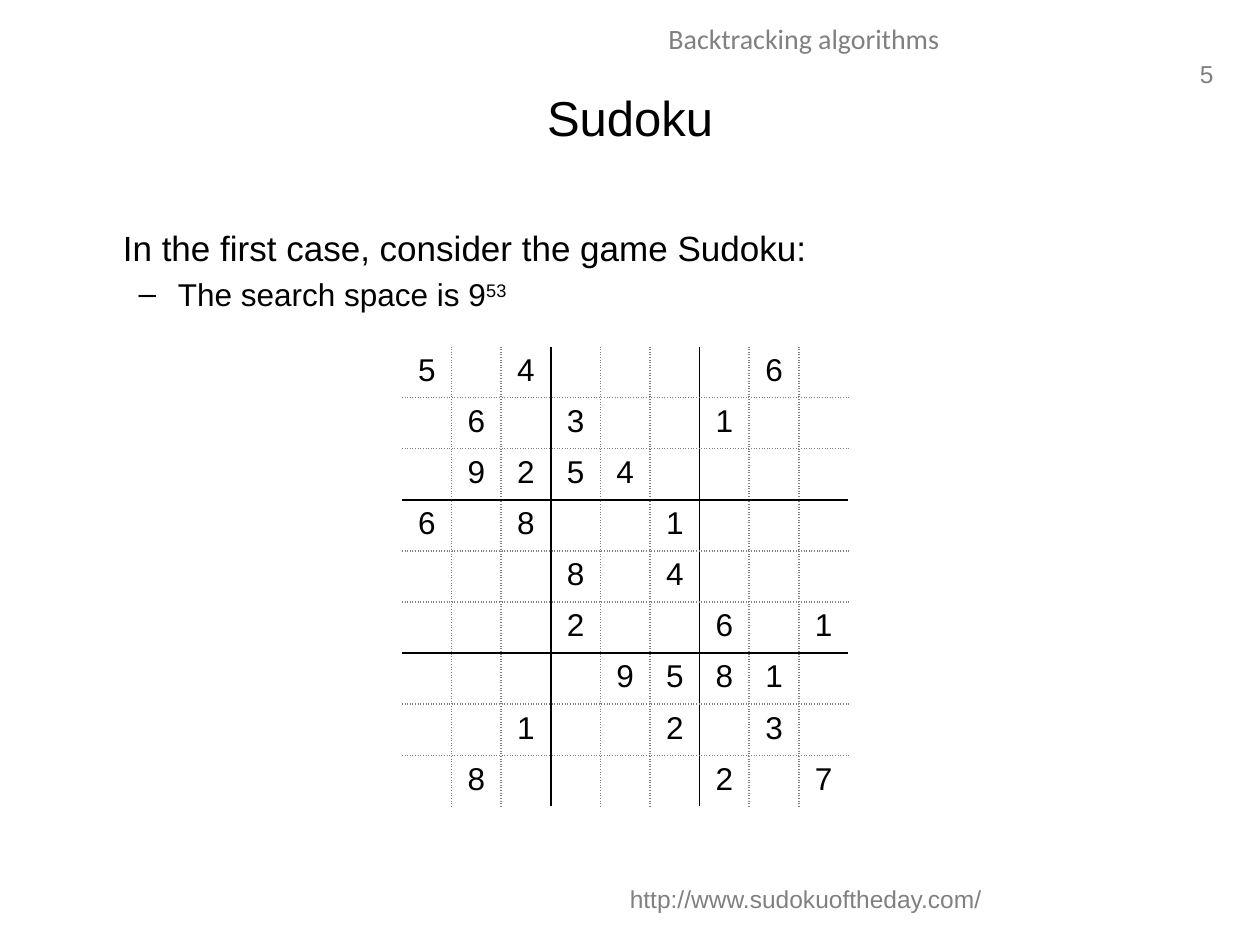
from lxml import etree
from pptx import Presentation
from pptx.dml.color import RGBColor
from pptx.enum.text import MSO_ANCHOR, PP_ALIGN
from pptx.oxml.ns import qn
from pptx.util import Cm, Inches, Pt

LEFT, CENTER, RIGHT = PP_ALIGN.LEFT, PP_ALIGN.CENTER, PP_ALIGN.RIGHT
MIDDLE = MSO_ANCHOR.MIDDLE

COLORS = {"text": "000000", "muted": "808080"}
TITLE = "Sudoku"
INTRO = "In the first case, consider the game Sudoku:"
SEARCH_SPACE = ("The search space is 9", "53")
# text, box (left, top, width, height), alignment, size, font, wrap
LABELS = [
    ("5", (9.29, 0.42, 0.44, 0.33), RIGHT, 14, "Arial", False),
    ("Backtracking algorithms", (3.19, 0.12, 6.38, 0.4), CENTER, 16, "Calibri", True),
    ("http://www.sudokuoftheday.com/", (4.9, 6.97, 3.01, 0.34), LEFT, 14, "Arial", False),
]
# One string per row; a dot is an empty square
PUZZLE = [
    "5.4....6.",
    ".6.3..1..",
    ".9254....",
    "6.8..1...",
    "...8.4...",
    "...2..6.1",
    "....9581.",
    "..1..2.3.",
    ".8....2.7",
]
SIZE, BLOCK = 9, 3
SQUARE = Cm(1)


def add_run(p, text, size, font="Arial", color="text"):
    r = p.add_run()
    r.text = text
    r.font.size = Pt(size)
    r.font.name = font
    r.font.color.rgb = RGBColor.from_string(COLORS[color])
    return r


def place(sp, left, top, width, height):
    sp.left, sp.top = Inches(left), Inches(top)
    sp.width, sp.height = Inches(width), Inches(height)


def set_border(cell, side, line):
    """Draw one cell edge, where line is the grid line number it lies on."""
    ln = etree.SubElement(cell._tc.get_or_add_tcPr(), qn(f"a:ln{side}"), w=str(Pt(1)))
    if line in (0, SIZE):
        etree.SubElement(ln, qn("a:noFill"))
        return
    is_block_edge = line % BLOCK == 0
    fill = etree.SubElement(ln, qn("a:solidFill"))
    color = COLORS["text" if is_block_edge else "muted"]
    etree.SubElement(fill, qn("a:srgbClr"), val=color)
    etree.SubElement(ln, qn("a:prstDash"), val="solid" if is_block_edge else "sysDot")


def add_puzzle(s, left, top):
    table = s.shapes.add_table(SIZE, SIZE, Inches(left), Inches(top),
                               SIZE * SQUARE, SIZE * SQUARE).table
    table.first_row = table.horz_banding = False
    for track in [*table.columns]:
        track.width = SQUARE
    for track in [*table.rows]:
        track.height = SQUARE
    for row, digits in enumerate(PUZZLE):
        for col, digit in enumerate(digits):
            cell = table.cell(row, col)
            for side, line in (("L", col), ("R", col + 1), ("T", row), ("B", row + 1)):
                set_border(cell, side, line)
            cell.fill.background()
            if digit != ".":
                p = cell.text_frame.paragraphs[0]
                p.alignment = CENTER
                add_run(p, digit, 18)


def main():
    prs = Presentation()
    prs.slide_width, prs.slide_height = Inches(10), Inches(7.5)
    s = prs.slides.add_slide(prs.slide_layouts[1])

    title, body = s.shapes.title, s.placeholders[1]
    place(title, 0.5, 0.3, 9, 1.25)
    title.text_frame.vertical_anchor = MIDDLE
    p = title.text_frame.paragraphs[0]
    p.alignment = CENTER
    add_run(p, TITLE, 28)

    place(body, 0.5, 1.75, 9, 4.95)
    tf = body.text_frame
    p = tf.paragraphs[0]
    pPr = p._p.get_or_add_pPr()
    pPr.set("indent", "0")
    etree.SubElement(pPr, qn("a:buNone"))
    p.space_before = Pt(0)
    add_run(p, INTRO, 20)
    p = tf.add_paragraph()
    p.level = 1
    base, exponent = SEARCH_SPACE
    add_run(p, base, 18)
    add_run(p, exponent, 18)._r.get_or_add_rPr().set("baseline", "30000")

    add_puzzle(s, 3.19, 2.75)

    for text, box, align, size, font, wrap in LABELS:
        tf = s.shapes.add_textbox(*map(Inches, box)).text_frame
        tf.word_wrap = wrap
        p = tf.paragraphs[0]
        p.alignment = align
        add_run(p, text, size, font, "muted")

    prs.save("out.pptx")


if __name__ == "__main__":
    main()
